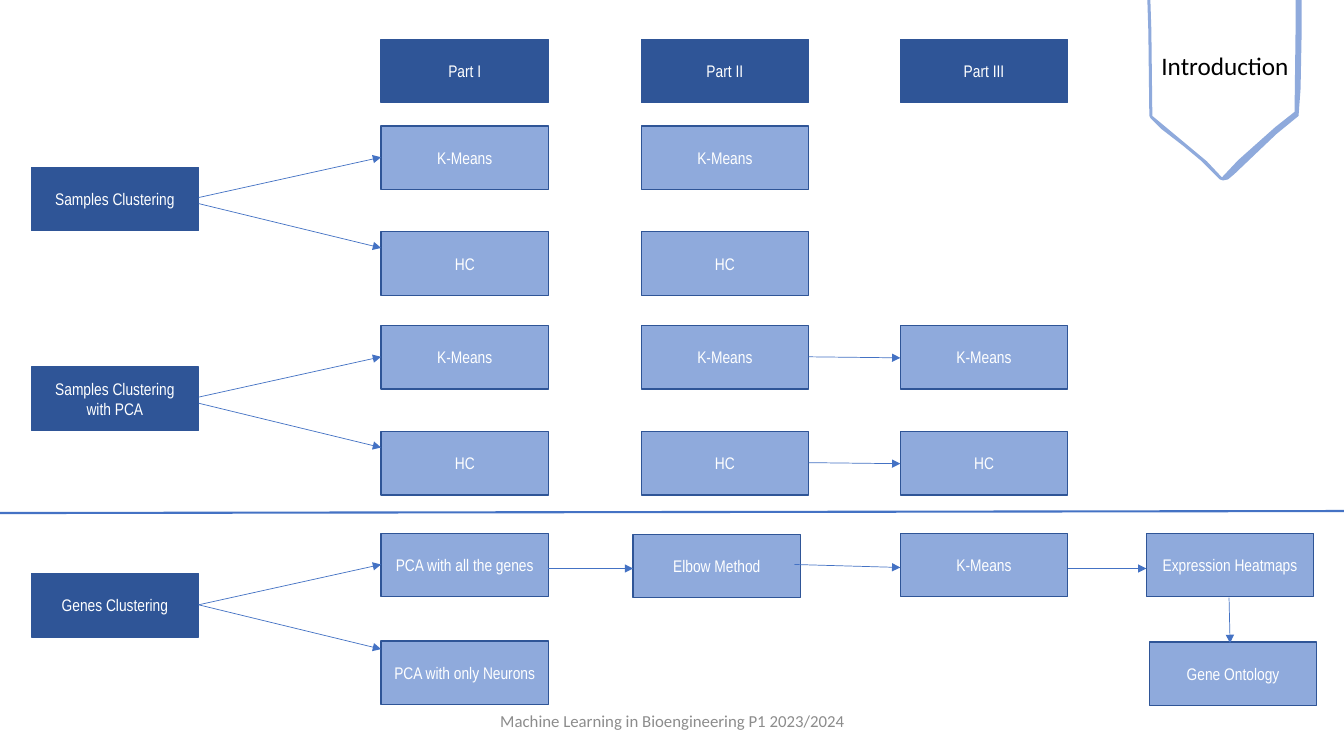
from lxml import etree
from pptx import Presentation
from pptx.dml.color import RGBColor
from pptx.enum.shapes import MSO_CONNECTOR, MSO_SHAPE
from pptx.enum.text import MSO_ANCHOR, MSO_AUTO_SIZE, PP_ALIGN
from pptx.oxml.ns import qn
from pptx.util import Inches, Pt

RECT = MSO_SHAPE.RECTANGLE
STRAIGHT = MSO_CONNECTOR.STRAIGHT
MIDDLE = MSO_ANCHOR.MIDDLE
CENTER = PP_ALIGN.CENTER
FIXED = MSO_AUTO_SIZE.NONE

NAVY = RGBColor(0x2F, 0x55, 0x97)
SKY = RGBColor(0x8F, 0xAA, 0xDC)
BLUE = RGBColor(0x44, 0x72, 0xC4)
GREY = RGBColor(0x8C, 0x8C, 0x8C)
WHITE = RGBColor(0xFF, 0xFF, 0xFF)
BLACK = RGBColor(0, 0, 0)

BOX_W, BOX_H = 1.66, 0.63
SIDE, ONE, TWO, THREE, FOUR = 0.31, 3.78, 6.36, 8.93, 11.37


class Chart:
    """Flow chart style and the slide it is drawn on."""

    def __init__(self, slide):
        self.slide = slide
        self.shapes = slide.shapes

    def letter(self, shape, text, size, font, color):
        frame = shape.text_frame
        frame.word_wrap = True
        frame.auto_size = FIXED
        frame.vertical_anchor = MIDDLE
        para = frame.paragraphs[0]
        para.alignment = CENTER
        run = para.add_run()
        run.text = text
        run.font.size = Pt(size)
        run.font.name = font
        run.font.color.rgb = color

    def title(self, text, left, top, width, height):
        shape = self.shapes.title
        shape.left, shape.top = Inches(left), Inches(top)
        shape.width, shape.height = Inches(width), Inches(height)
        self.letter(shape, text, 18, "Calibri", BLACK)

    def label(self, text, left, top, width, height):
        shape = self.shapes.add_textbox(
            Inches(left), Inches(top), Inches(width), Inches(height))
        self.letter(shape, text, 12, "Calibri", GREY)

    def box(self, text, left, top, fill=SKY):
        shape = self.shapes.add_shape(
            RECT, Inches(left), Inches(top), Inches(BOX_W), Inches(BOX_H))
        shape.shadow.inherit = False
        shape.fill.solid()
        shape.fill.fore_color.rgb = fill
        shape.line.color.rgb = NAVY
        shape.line.width = Pt(1)
        self.letter(shape, text, 12, "Arial Narrow", WHITE)

    def line(self, start, end, width=0.5, arrow=True):
        link = self.shapes.add_connector(
            STRAIGHT, *(Inches(v) for v in (*start, *end)))
        link.line.color.rgb = BLUE
        link.line.width = Pt(width)
        props = link._element.spPr
        if arrow:
            tail = etree.SubElement(props.find(qn("a:ln")), qn("a:tailEnd"))
            tail.set("type", "triangle")
        etree.SubElement(props, qn("a:effectLst"))

    def outline(self, points):
        first, *rest = [(Inches(x), Inches(y)) for x, y in points]
        pen = self.shapes.build_freeform(*first)
        pen.add_line_segments(rest, close=True)
        shape = pen.convert_to_shape()
        shape.shadow.inherit = False
        shape.fill.solid()
        shape.fill.fore_color.rgb = SKY
        shape.line.fill.background()


def main():
    deck = Presentation()
    deck.slide_width, deck.slide_height = Inches(13.33), Inches(7.5)
    chart = Chart(deck.slides.add_slide(deck.slide_layouts[5]))

    # Ribbon with the title
    outer = [(11.38, 0), (11.39, 0.31), (11.4, 1.15), (11.41, 1.17),
             (11.52, 1.28), (11.74, 1.45), (11.92, 1.6), (12.1, 1.78),
             (12.13, 1.79), (12.18, 1.78), (12.24, 1.73), (12.45, 1.53),
             (12.66, 1.33), (12.88, 1.15), (12.9, 0.88), (12.91, 0.36),
             (12.91, 0)]
    inner = [(12.85, 0), (12.85, 0.32), (12.84, 1.11), (12.65, 1.26),
             (12.47, 1.42), (12.28, 1.59), (12.12, 1.76), (11.97, 1.6),
             (11.79, 1.45), (11.43, 1.15), (11.42, 0.3), (11.41, 0)]
    chart.outline(outer + inner)
    chart.title("Introduction", 11.4, 0.4, 1.5, 0.5)

    # Column heads
    for text, left in (("Part I", ONE), ("Part II", TWO), ("Part III", THREE)):
        chart.box(text, left, 0.39, NAVY)

    # Sample groups
    groups = (("Samples Clustering", 1.66, (ONE, TWO)),
              ("Samples Clustering with PCA", 3.64, (ONE, TWO, THREE)))
    for text, top, lefts in groups:
        chart.box(text, SIDE, top, NAVY)
        for left in lefts:
            chart.box("K-Means", left, top - 0.41)
            chart.box("HC", left, top + 0.64)
        chart.line((SIDE + BOX_W, top + 0.3), (ONE, top - 0.1))
        chart.line((SIDE + BOX_W, top + 0.36), (ONE, top + 0.8))
    for y in (3.54, 4.59):
        chart.line((TWO + BOX_W, y), (THREE, y + 0.01))

    # Divider
    chart.line((0, 5.09), (13.33, 5.07), 1.5, arrow=False)

    # Gene group
    chart.box("Genes Clustering", SIDE, 5.69, NAVY)
    steps = (("PCA with all the genes", ONE, 5.29),
             ("PCA with only Neurons", ONE, 6.36),
             ("Elbow Method", 6.28, 5.3),
             ("K-Means", THREE, 5.29),
             ("Expression Heatmaps", FOUR, 5.29),
             ("Gene Ontology", 11.4, 6.37))
    for step in steps:
        chart.box(*step)
    links = (((1.97, 6), (ONE, 5.6)), ((1.97, 6), (ONE, 6.44)),
             ((5.44, 5.64), (6.28, 5.64)), ((7.88, 5.6), (THREE, 5.63)),
             ((10.59, 5.64), (FOUR, 5.64)), ((12.19, 5.93), (12.2, 6.38)))
    for start, end in links:
        chart.line(start, end)

    # Footer
    chart.label("Machine Learning in Bioengineering P1 2023/2024",
                4.42, 6.95, 4.5, 0.4)

    deck.save("out.pptx")


if __name__ == "__main__":
    main()
